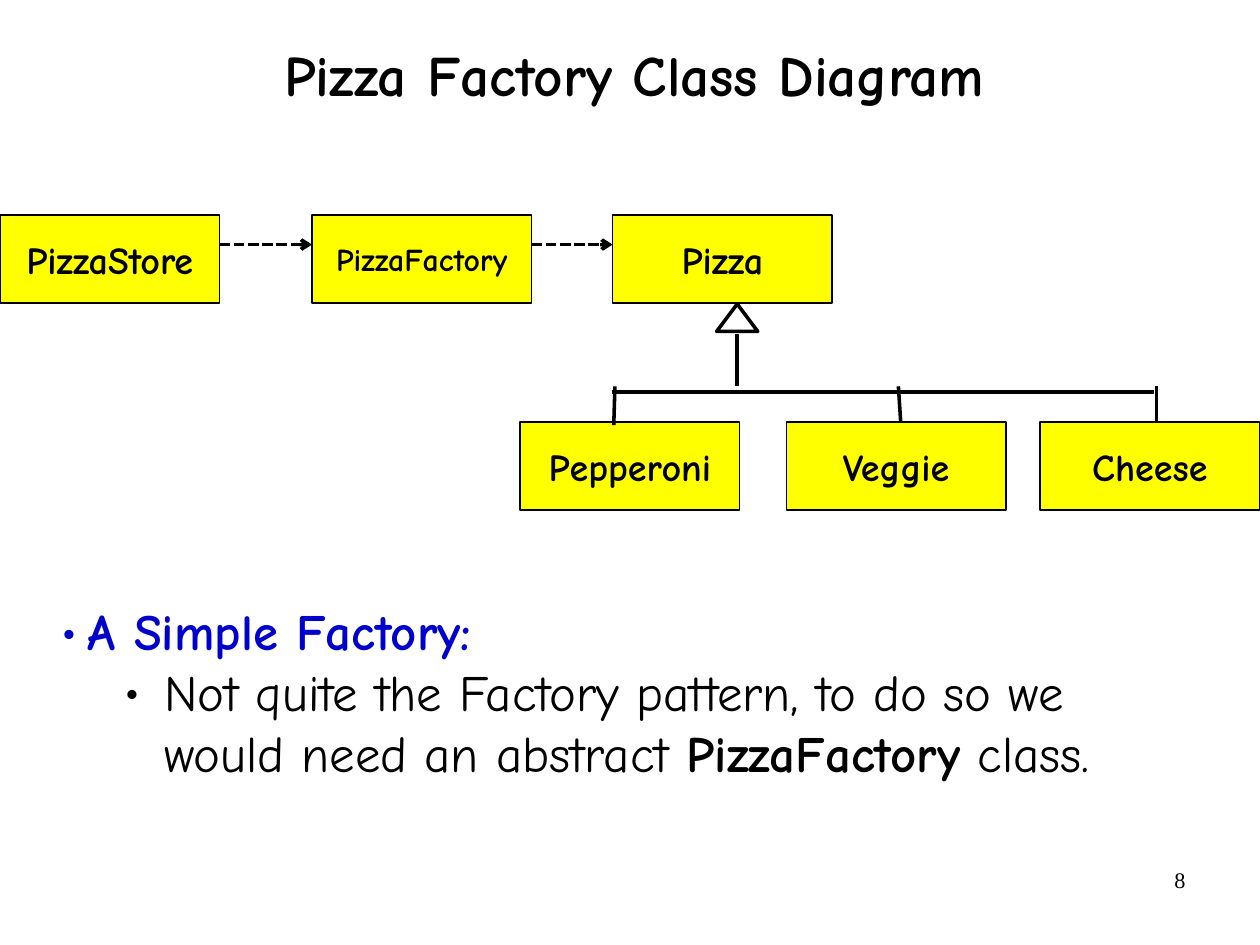
import pptx
import pptx.dml.color
import pptx.enum.dml
import pptx.enum.shapes
import pptx.enum.text
import pptx.oxml.ns
import pptx.util
from lxml import etree

Inches = pptx.util.Inches
Pt = pptx.util.Pt
RGBColor = pptx.dml.color.RGBColor
Align = pptx.enum.text.PP_ALIGN
Anchor = pptx.enum.text.MSO_ANCHOR
Shape = pptx.enum.shapes.MSO_SHAPE
qn = pptx.oxml.ns.qn

BLACK = RGBColor(0x00, 0x00, 0x00)
WHITE = RGBColor(0xFF, 0xFF, 0xFF)
YELLOW = RGBColor(0xFF, 0xFF, 0x00)
BLUE = RGBColor(0x00, 0x00, 0xCC)

CM_PER_INCH = 2.54
BOX_WIDTH, BOX_HEIGHT = 1.92, 0.77
TOP_ROW, BOTTOM_ROW = 1.88, 3.69
ARROW_Y, BRANCH_TOP, BUS_Y = 2.14, 3.38, 3.43


class DiagramSlide:
    """Draws styled class-diagram elements on the current slide."""

    def __init__(self, slide):
        self.slide = slide
        self.font = {"name": "Comic Neue", "size": Pt(24), "bold": True}
        self.frame = {
            "margin_left": Inches(0.11), "margin_right": Inches(0.11),
            "margin_top": Inches(0.06), "margin_bottom": Inches(0.06),
            "word_wrap": True, "vertical_anchor": Anchor.TOP,
        }

    def apply(self, target, values):
        for name, value in values.items():
            setattr(target, name, value)

    def add_run(self, paragraph, text, color=BLACK, **font):
        run = paragraph.add_run()
        run.text = text
        self.apply(run.font, {**self.font, **font})
        run.font.color.rgb = color

    def text_box(self, left, top, width, height, **frame):
        box = self.slide.shapes.add_textbox(
            Inches(left), Inches(top), Inches(width), Inches(height))
        self.apply(box.text_frame, {**self.frame, **frame})
        return box.text_frame

    def bullet(self, paragraph, margin, indent, level=0):
        paragraph.level = level
        properties = paragraph._p.get_or_add_pPr()
        properties.set("marL", str(Inches(margin)))
        properties.set("indent", str(Inches(indent)))
        etree.SubElement(properties, qn("a:buFont")).set("typeface", self.font["name"])
        etree.SubElement(properties, qn("a:buChar")).set("char", "•")

    def shape(self, kind, left, top, width, height, fill, line_width):
        shape = self.slide.shapes.add_shape(
            kind, Inches(left), Inches(top), Inches(width), Inches(height))
        shape.shadow.inherit = False
        shape.fill.solid()
        shape.fill.fore_color.rgb = fill
        shape.line.color.rgb = BLACK
        shape.line.width = Pt(line_width)
        return shape

    def class_box(self, name, left, top, size=24):
        box = self.shape(Shape.RECTANGLE, left, top, BOX_WIDTH, BOX_HEIGHT, YELLOW, 1)
        self.apply(box.text_frame, {
            **self.frame, "word_wrap": False, "vertical_anchor": Anchor.MIDDLE})
        paragraph = box.text_frame.paragraphs[0]
        paragraph.alignment = Align.CENTER
        self.add_run(paragraph, name, size=Pt(size))

    def line(self, start_x, start_y, end_x, end_y):
        line = self.slide.shapes.add_connector(
            pptx.enum.shapes.MSO_CONNECTOR.STRAIGHT,
            Inches(start_x), Inches(start_y), Inches(end_x), Inches(end_y))
        line.line.color.rgb = BLACK
        line.line.width = Pt(2.25)
        etree.SubElement(line._element.spPr, qn("a:effectLst"))
        return line

    def dashed_arrow(self, start_x, end_x, y):
        arrow = self.line(start_x, y, end_x, y)
        arrow.line.dash_style = pptx.enum.dml.MSO_LINE.SQUARE_DOT
        outline = arrow.line._get_or_add_ln()
        etree.SubElement(outline, qn("a:tailEnd")).set("type", "arrow")


def main():
    presentation = pptx.Presentation()
    presentation.slide_width = Inches(28 / CM_PER_INCH)
    presentation.slide_height = Inches(21 / CM_PER_INCH)
    diagram = DiagramSlide(
        presentation.slides.add_slide(presentation.slide_layouts[6]))

    number = diagram.text_box(
        7.9, 7.53, 2.57, 0.57, margin_left=Inches(0.1), margin_right=Inches(0.1),
        margin_top=Inches(0.05), margin_bottom=Inches(0.05)).paragraphs[0]
    number.alignment = Align.RIGHT
    diagram.add_run(number, "8", name="Times New Roman", size=Pt(14), bold=False)

    title = diagram.text_box(
        0.85, 0, 9.4, 1.37, vertical_anchor=Anchor.MIDDLE).paragraphs[0]
    diagram.apply(title, {"alignment": Align.CENTER, "line_spacing": 0.88})
    diagram.add_run(title, "Pizza Factory Class Diagram", size=Pt(36))

    users = [("PizzaStore", 0, 24), ("PizzaFactory", 2.73, 20), ("Pizza", 5.36, 24)]
    for name, left, size in users:
        diagram.class_box(name, left, TOP_ROW, size)
    for (_, left, _), (_, next_left, _) in zip(users, users[1:]):
        diagram.dashed_arrow(left + BOX_WIDTH, next_left, ARROW_Y)

    pizzas = [("Pepperoni", 4.55, 5.38, 5.37, 3.72),
              ("Veggie", 6.88, 7.86, 7.88, BOTTOM_ROW),
              ("Cheese", 9.1, 10.12, 10.12, BOTTOM_ROW)]
    for name, left, branch_x, end_x, end_y in pizzas:
        diagram.class_box(name, left, BOTTOM_ROW)
        diagram.line(branch_x, BRANCH_TOP, end_x, end_y)

    diagram.shape(Shape.ISOSCELES_TRIANGLE, 6.27, 2.66, 0.36, 0.24, WHITE, 2.25)
    diagram.line(6.45, BRANCH_TOP, 6.45, 2.92)
    diagram.line(5.35, BUS_Y, 10.1, BUS_Y)

    notes = diagram.text_box(0.43, 5.19, 10.03, 2.4)
    heading = notes.paragraphs[0]
    diagram.bullet(heading, 0.23, -0.23)
    diagram.add_run(heading, "A Simple Factory:", BLUE, size=Pt(32))
    detail = notes.add_paragraph()
    diagram.bullet(detail, 0.9, -0.35, 1)
    for text, bold in [
            ("Not quite the Factory pattern, to do so we would need an abstract ", False),
            ("PizzaFactory", True), (" class.", False)]:
        diagram.add_run(detail, text, size=Pt(32), bold=bold)

    presentation.save("out.pptx")


if __name__ == "__main__":
    main()
